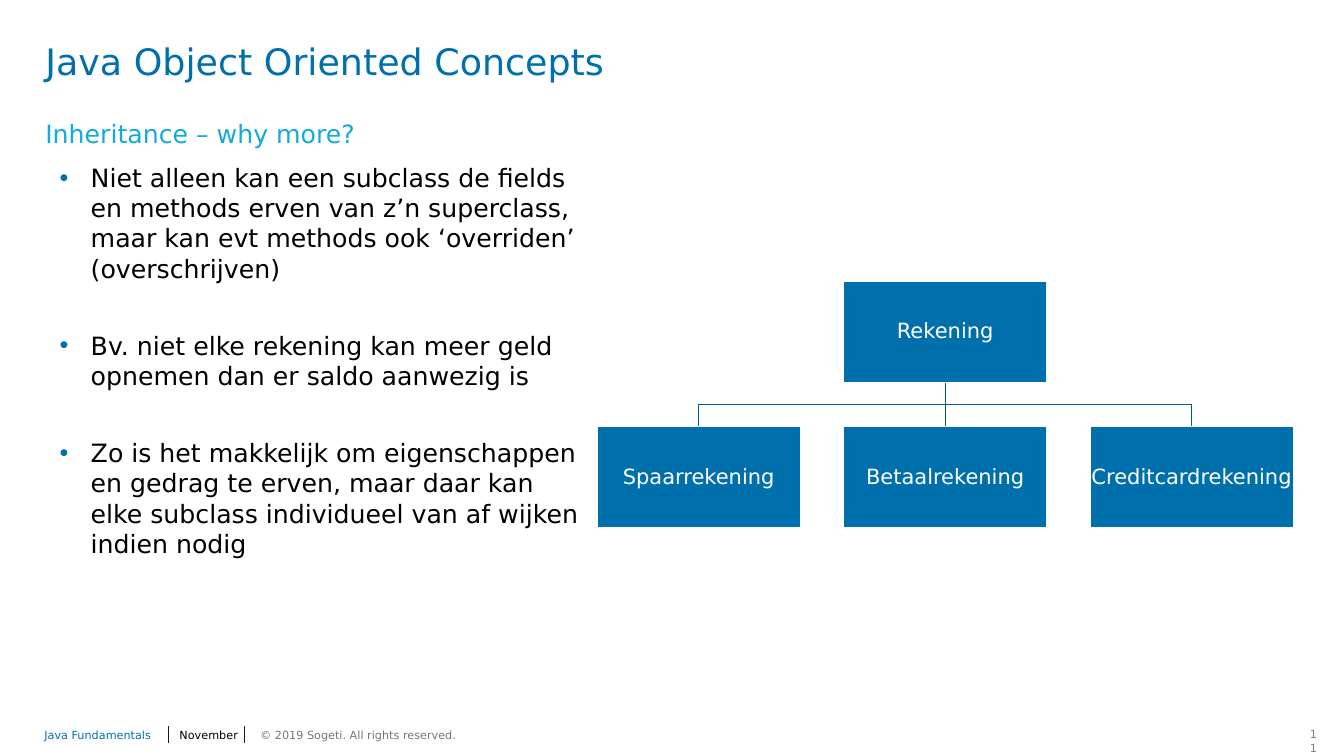
from dataclasses import dataclass

from lxml.etree import SubElement
from pptx import Presentation
from pptx.dml.color import RGBColor as Color
from pptx.enum.shapes import MSO_CONNECTOR as Connector, MSO_SHAPE as Shape
from pptx.enum.text import MSO_ANCHOR as Anchor, MSO_AUTO_SIZE as AutoSize, PP_ALIGN as Align
from pptx.oxml.ns import qn
from pptx.util import Inches, Pt


@dataclass(frozen=True)
class Theme:
    font: str = "DejaVu Sans"
    blue: str = "0070AD"
    cyan: str = "12ABDB"
    branch: str = "005A8B"
    divider: str = "2B0A3D"
    black: str = "000000"
    white: str = "FFFFFF"
    grey: str = "767676"
    number: str = "808080"
    title: int = 26
    body: int = 18
    node: int = 15
    footer: int = 8


THEME = Theme()
BULLETS = [
    "Niet alleen kan een subclass de fields en methods erven van z’n superclass, "
    "maar kan evt methods ook ‘overriden’ (overschrijven)",
    "Bv. niet elke rekening kan meer geld opnemen dan er saldo aanwezig is",
    "Zo is het makkelijk om eigenschappen en gedrag te erven, "
    "maar daar kan elke subclass individueel van af wijken indien nodig",
]
SUBCLASSES = ["Spaarrekening", "Betaalrekening", "Creditcardrekening"]


def set_values(target, values):
    for name, value in values.items():
        setattr(target, name, value)


def place(shape, box):
    set_values(shape, dict(zip(("left", "top", "width", "height"), map(Inches, box))))


def write_paragraph(paragraph, text, size, color, **values):
    paragraph.text = text
    set_values(paragraph, {"alignment": Align.LEFT, "space_before": Pt(0), **values})
    set_values(paragraph.font, {"name": THEME.font, "size": Pt(size)})
    paragraph.font.color.rgb = Color.from_string(color)


def prepare_frame(shape, anchor=Anchor.TOP, inset=0.0):
    frame = shape.text_frame
    sides = ("margin_left", "margin_top", "margin_right", "margin_bottom")
    set_values(frame, dict.fromkeys(sides, Inches(inset)))
    set_values(frame, {"auto_size": AutoSize.NONE, "word_wrap": True, "vertical_anchor": anchor})
    return frame


def add_text(slide, box, text, size, color, anchor=Anchor.TOP, **values):
    shape = slide.shapes.add_textbox(*map(Inches, box))
    write_paragraph(prepare_frame(shape, anchor).paragraphs[0], text, size, color, **values)
    return shape


def style_line(shape, color, width):
    shape.line.color.rgb = Color.from_string(color)
    shape.line.width = Pt(width)


def add_line(slide, start, end, color, width):
    line = slide.shapes.add_connector(Connector.STRAIGHT, *map(Inches, start + end))
    style_line(line, color, width)
    SubElement(line._element.spPr, qn("a:effectLst"))
    return line


def add_bullet(paragraph):
    properties = paragraph._p.get_or_add_pPr()
    properties.set("marL", str(Inches(0.57)))
    properties.set("indent", str(Inches(-0.31)))
    color = SubElement(properties, qn("a:buClr"))
    SubElement(color, qn("a:srgbClr"), val=THEME.blue)
    SubElement(properties, qn("a:buFont"), typeface="Arial")
    SubElement(properties, qn("a:buChar"), char="•")


def fill_heading(slide, box):
    left, top, width, height = box
    title = slide.shapes.title
    place(title, (left, top, width, height))
    write_paragraph(prepare_frame(title).paragraphs[0], "Java Object Oriented Concepts",
                    THEME.title, THEME.blue, line_spacing=0.9)
    add_text(slide, (left, top + 0.73, width, height), "Inheritance – why more?",
             THEME.body, THEME.cyan, line_spacing=Pt(22))


def fill_bullets(slide, box):
    body = slide.placeholders[1]
    place(body, box)
    frame = prepare_frame(body)
    for index, text in enumerate(BULLETS):
        paragraph = frame.add_paragraph() if index else frame.paragraphs[0]
        add_bullet(paragraph)
        write_paragraph(paragraph, text, THEME.body, THEME.black, level=1, space_after=Pt(33.5))


def add_node(slide, box, text):
    node = slide.shapes.add_shape(Shape.RECTANGLE, *map(Inches, box))
    node.shadow.inherit = False
    node.fill.solid()
    node.fill.fore_color.rgb = Color.from_string(THEME.blue)
    style_line(node, THEME.white, 1)
    write_paragraph(prepare_frame(node, Anchor.MIDDLE, 0.01).paragraphs[0], text,
                    THEME.node, THEME.white, alignment=Align.CENTER, line_spacing=0.9)
    return node


def add_elbow(slide, start, end):
    middle = (start[1] + end[1]) / 2
    corners = [start, (start[0], middle), (end[0], middle), end]
    first, *others = [(Inches(x), Inches(y)) for x, y in corners]
    builder = slide.shapes.build_freeform(*first)
    builder.add_line_segments(others, close=False)
    elbow = builder.convert_to_shape()
    elbow.shadow.inherit = False
    elbow.fill.background()
    style_line(elbow, THEME.branch, 1)


def add_class_tree(slide, box):
    left, top, width, height = box
    gap_share = 0.21
    count = len(SUBCLASSES)
    node_width = width / (count + (count - 1) * gap_share)
    node_height = node_width / 2
    pitch = node_width * (1 + gap_share)
    center = left + width / 2
    row = top + height - node_height
    start = (center, top + node_height)
    root = add_node(slide, (center - node_width / 2, top, node_width, node_height), "Rekening")
    for column, name in enumerate(SUBCLASSES):
        x = left + column * pitch
        node = add_node(slide, (x, row, node_width, node_height), name)
        end = (x + node_width / 2, row)
        if column == count // 2:
            line = add_line(slide, start, end, THEME.branch, 1)
            line.begin_connect(root, 2)
            line.end_connect(node, 0)
        else:
            add_elbow(slide, start, end)


def add_footer(slide, box):
    left, top, width, height = box
    for offset, text_width, text, color in (
        (0, 1.2, "Java Fundamentals", THEME.blue),
        (1.34, 0.62, "November", THEME.black),
        (2.14, 2.83, "© 2019 Sogeti. All rights reserved.", THEME.grey),
    ):
        add_text(slide, (left + offset, top, text_width, height), text,
                 THEME.footer, color, Anchor.MIDDLE)
    for offset in (1.23, 1.98):
        x = left + offset
        add_line(slide, (x, top + 0.2), (x, top + 0.03), THEME.divider, 0.5)
    number = add_text(slide, (left + width - 0.27, top, 0.27, height), "11",
                      THEME.footer, THEME.number, alignment=Align.RIGHT)
    set_values(number.text_frame, {"margin_left": Inches(0.1), "margin_right": Inches(0.1),
                                   "margin_top": Inches(0.05)})


def main():
    presentation = Presentation()
    set_values(presentation, {"slide_width": Inches(13.33), "slide_height": Inches(7.5)})
    slide = presentation.slides.add_slide(presentation.slide_layouts[1])
    add_footer(slide, (0.44, 7.17, 12.72, 0.24))
    fill_heading(slide, (0.45, 0.44, 11.97, 0.45))
    add_class_tree(slide, (5.92, 2.79, 6.91, 2.45))
    fill_bullets(slide, (0.33, 1.61, 5.42, 5.01))
    presentation.save("out.pptx")


if __name__ == "__main__":
    main()
